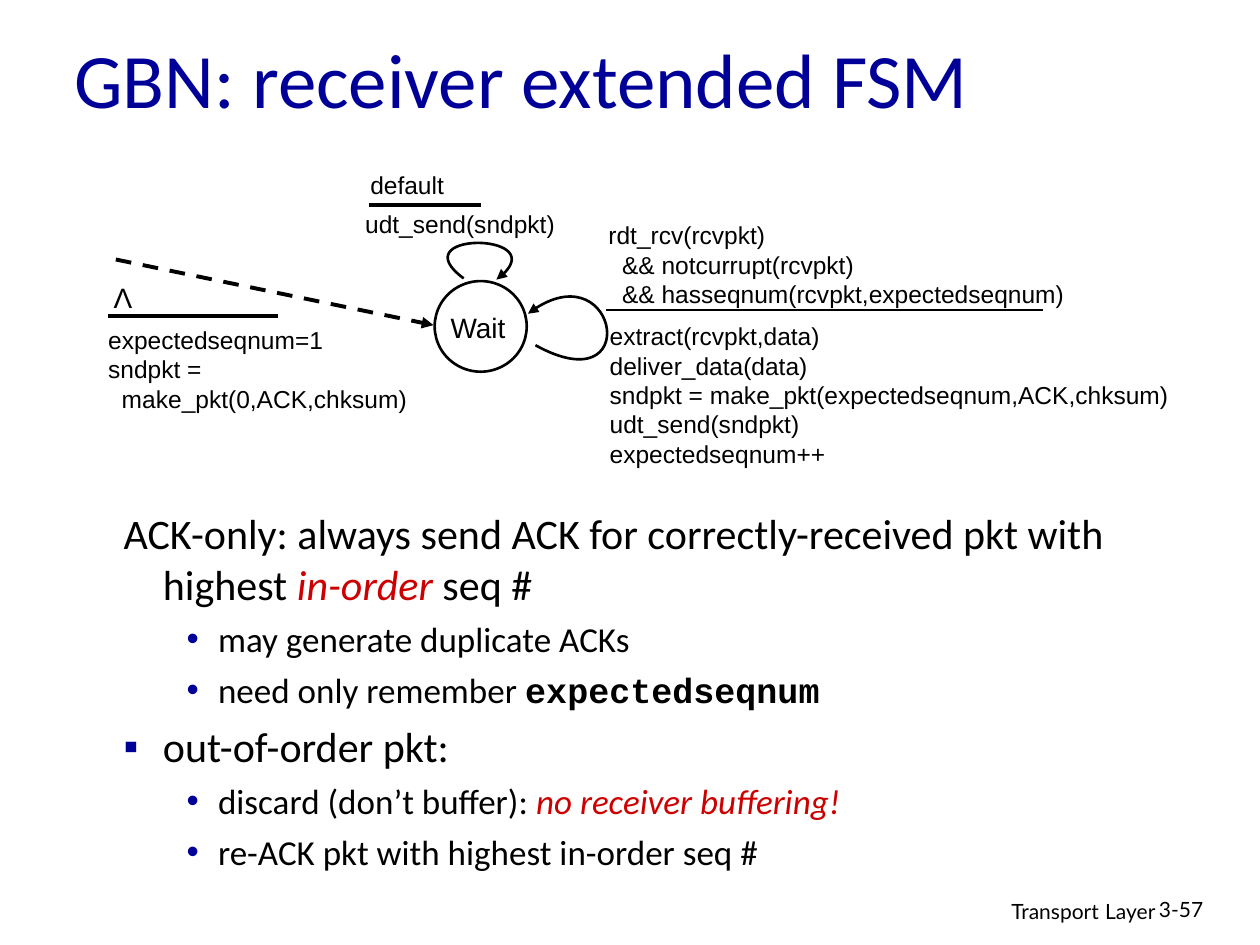
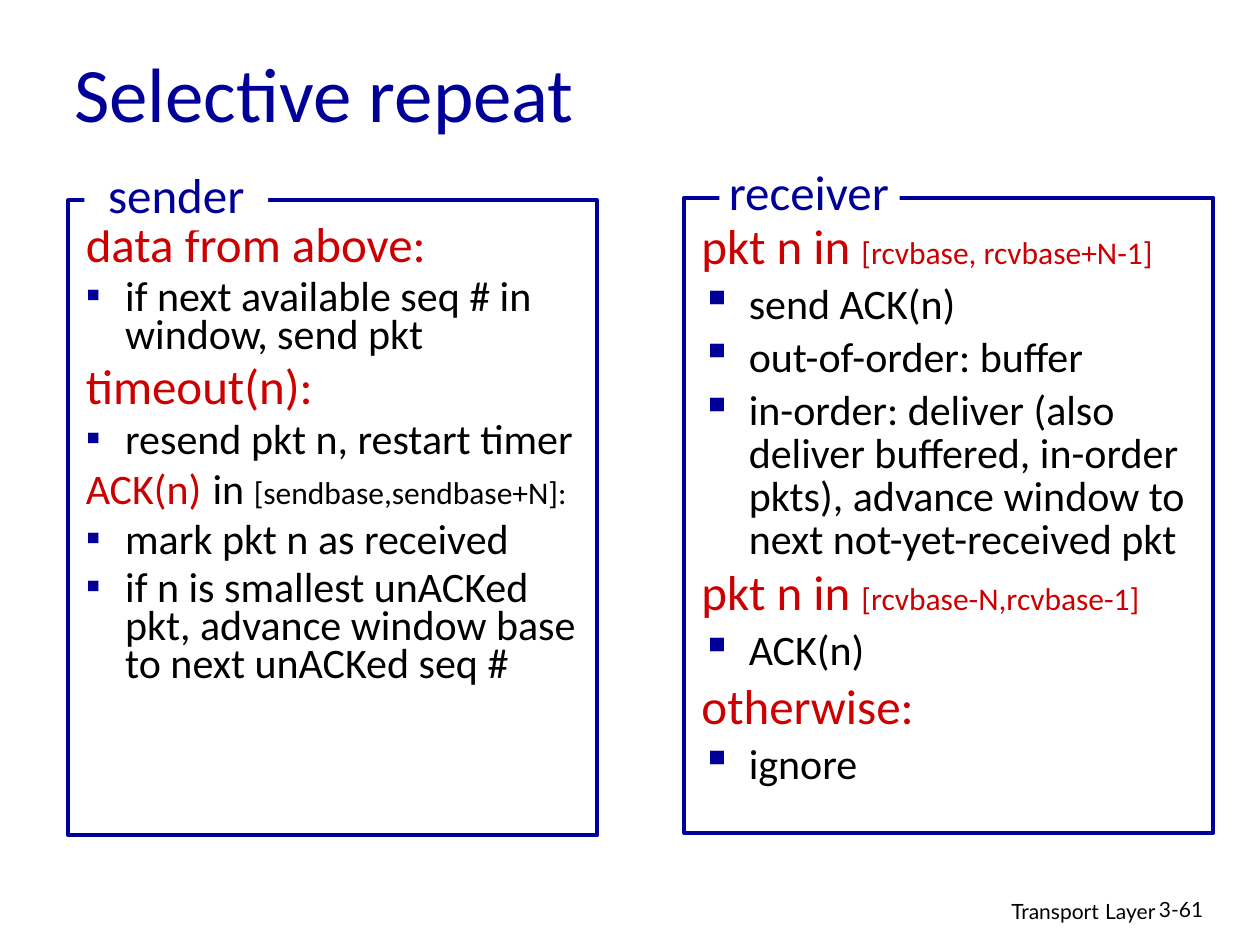
"""Build two lecture slides on Go-Back-N and selective repeat receivers."""
from dataclasses import dataclass
from typing import Optional, Union

from lxml import etree
from pptx import Presentation
from pptx.dml.color import RGBColor
from pptx.enum.dml import MSO_LINE
from pptx.enum.shapes import MSO_CONNECTOR, MSO_SHAPE
from pptx.enum.text import MSO_ANCHOR, MSO_AUTO_SIZE, PP_ALIGN
from pptx.oxml.ns import qn
from pptx.util import Pt

STRAIGHT = MSO_CONNECTOR.STRAIGHT
OVAL, RECTANGLE = MSO_SHAPE.OVAL, MSO_SHAPE.RECTANGLE
DASH = MSO_LINE.DASH
LEFT, CENTER, RIGHT = PP_ALIGN.LEFT, PP_ALIGN.CENTER, PP_ALIGN.RIGHT
TOP, MIDDLE = MSO_ANCHOR.TOP, MSO_ANCHOR.MIDDLE
NO_AUTOFIT = MSO_AUTO_SIZE.NONE

NAVY, RED, BLACK, WHITE = "000099", "CC0000", "000000", "FFFFFF"
HEADING, DIAGRAM, FOOTER, CODE = "Calibri", "Arial", "Lato", "Courier New"
DOT, SQUARE = "•", "▪"

Box = tuple[float, float, float, float]
Point = tuple[float, float]


@dataclass(frozen=True)
class Run:
    text: str
    size: Optional[float] = None
    color: Optional[str] = None
    font: Optional[str] = None
    bold: Optional[bool] = None
    italic: Optional[bool] = None


@dataclass(frozen=True)
class Paragraph:
    runs: tuple[Union[Run, str], ...]
    size: float
    color: str = BLACK
    font: str = HEADING
    align: PP_ALIGN = LEFT
    bullet: str = ""
    level: int = 0
    margin: float = 0
    hanging: float = 0
    before: float = 0
    spacing: float = 1


@dataclass(frozen=True)
class Label:
    box: Box
    lines: tuple[str, ...]
    size: float = 14
    align: PP_ALIGN = LEFT
    wrap: bool = True


@dataclass(frozen=True)
class Line:
    start: Point
    end: Point
    width: float = 2.25
    dashed: bool = False
    arrow: bool = False


@dataclass(frozen=True)
class Panel:
    frame: Box
    mask: Box
    caption_box: Box
    caption: str


def rgb(color: str) -> RGBColor:
    return RGBColor.from_string(color)


def points(values) -> list:
    return [Pt(value) for value in values]


def set_font(font, size, color, name, bold=None, italic=None) -> None:
    if size is not None:
        font.size = Pt(size)
    if color is not None:
        font.color.rgb = rgb(color)
    if name is not None:
        font.name = name
    if bold is not None:
        font.bold = bold
    if italic is not None:
        font.italic = italic


def set_bullet(properties, bullet: str) -> None:
    if not bullet:
        etree.SubElement(properties, qn("a:buNone"))
        return
    color = etree.SubElement(properties, qn("a:buClr"))
    etree.SubElement(color, qn("a:srgbClr"), val=NAVY)
    etree.SubElement(properties, qn("a:buChar"), char=bullet)


def write(frame, paragraphs, anchor=TOP, wrap: bool = True) -> None:
    frame.word_wrap = wrap
    frame.auto_size = NO_AUTOFIT
    frame.vertical_anchor = anchor
    for index, item in enumerate(paragraphs):
        paragraph = frame.add_paragraph() if index else frame.paragraphs[0]
        paragraph.level = item.level
        properties = paragraph._p.get_or_add_pPr()
        properties.set("marL", str(Pt(item.margin)))
        properties.set("indent", str(Pt(-item.hanging)))
        set_bullet(properties, item.bullet)
        paragraph.alignment = item.align
        paragraph.space_before = Pt(item.before if index else 0)
        paragraph.line_spacing = item.spacing
        set_font(paragraph.font, item.size, item.color, item.font)
        for part in item.runs:
            part = Run(part) if isinstance(part, str) else part
            run = paragraph.add_run()
            run.text = part.text
            set_font(run.font, part.size, part.color, part.font, part.bold, part.italic)


def add_text(slide, box: Box, paragraphs, wrap: bool = True) -> None:
    write(slide.shapes.add_textbox(*points(box)).text_frame, paragraphs, wrap=wrap)


def fill_placeholder(placeholder, box: Box, paragraphs, anchor=TOP) -> None:
    placeholder.left, placeholder.top, placeholder.width, placeholder.height = points(box)
    write(placeholder.text_frame, paragraphs, anchor)


def add_label(slide, label: Label) -> None:
    add_text(slide, label.box,
             [Paragraph((line,), label.size, font=DIAGRAM, align=label.align)
              for line in label.lines], label.wrap)


def style_line(line, color: str, width: float, dashed=False, arrow=False) -> None:
    line.color.rgb = rgb(color)
    line.width = Pt(width)
    if dashed:
        line.dash_style = DASH
    if arrow:
        etree.SubElement(line._get_or_add_ln(), qn("a:tailEnd"), type="triangle")


def add_line(slide, item: Line) -> None:
    connector = slide.shapes.add_connector(STRAIGHT, *points(item.start + item.end))
    style_line(connector.line, BLACK, item.width, item.dashed, item.arrow)
    etree.SubElement(connector._element.spPr, qn("a:effectLst"))


def add_loop(slide, start: Point, *curve: Point) -> None:
    builder = slide.shapes.build_freeform(*points(start))
    builder.add_line_segments([points(point) for point in curve], close=False)
    shape = builder.convert_to_shape()
    outline = next(shape._element.iter(qn("a:path")))
    bezier = etree.Element(qn("a:cubicBezTo"))
    for segment in outline.findall(qn("a:lnTo")):
        bezier.append(segment[0])
        outline.remove(segment)
    outline.append(bezier)
    shape.shadow.inherit = False
    shape.fill.background()
    style_line(shape.line, BLACK, 1.5, arrow=True)


def add_shape(slide, kind, box: Box, fill=None, line=None, width: float = 1) -> None:
    shape = slide.shapes.add_shape(kind, *points(box))
    shape.shadow.inherit = False
    if fill:
        shape.fill.solid()
        shape.fill.fore_color.rgb = rgb(fill)
    else:
        shape.fill.background()
    if line:
        style_line(shape.line, line, width)
    else:
        shape.line.fill.background()


def add_panel(slide, panel: Panel) -> None:
    add_shape(slide, RECTANGLE, panel.frame, line=NAVY, width=2.25)
    add_shape(slide, RECTANGLE, panel.mask, fill=WHITE)
    add_text(slide, panel.caption_box,
             [Paragraph((panel.caption,), 28, NAVY, align=CENTER)], wrap=False)


def new_slide(presentation, title: str, title_box: Box, number: str):
    slide = presentation.slides.add_slide(presentation.slide_layouts[1])
    fill_placeholder(slide.shapes.title, title_box, [Paragraph((title,), 44, NAVY)], MIDDLE)
    add_text(slide, (439.2, 507.6, 228.2, 22.3),
             [Paragraph(("Transport", Run(" ", 14), "Layer"), 12, font=FOOTER, align=RIGHT)])
    add_text(slide, (655.2, 509, 53.3, 21.6), [Paragraph((number,), 12, font=FOOTER)])
    return slide


def build_fsm_slide(presentation) -> None:
    slide = new_slide(presentation, "GBN: receiver extended FSM",
                      (35.3, 16.6, 612, 55.4), "3-57")

    def main(*runs, bullet="") -> Paragraph:
        return Paragraph(runs, 24, bullet=bullet, margin=22.5, hanging=22.5, before=6)

    def sub(*runs) -> Paragraph:
        return Paragraph(runs, 20, bullet=DOT, level=1, margin=54, hanging=18, before=5)

    fill_placeholder(slide.placeholders[1], (63.4, 286.6, 641.5, 224.6), [
        main("ACK-only: always send ACK for correctly-received pkt with highest ",
             Run("in-order", color=RED, italic=True), " seq #"),
        sub("may generate duplicate ACKs"),
        sub("need only remember ", Run("expectedseqnum", font=CODE, bold=True)),
        main("out-of-order pkt:", bullet=SQUARE),
        sub("discard (don’t buffer): ",
            Run("no receiver buffering!", color=RED, italic=True)),
        sub("re-ACK pkt with highest in-order seq #"),
    ])
    add_shape(slide, OVAL, (248.4, 160.6, 52.6, 51.8), WHITE, BLACK, 1.5)
    for line in (
        Line((66.2, 148.3), (247.7, 185.8), dashed=True, arrow=True),
        Line((211, 117.4), (275, 117.4)),
        Line((346.3, 177.1), (596.2, 177.1), 1.5),
        Line((61.9, 180.7), (159.1, 180.7)),
    ):
        add_line(slide, line)
    add_loop(slide, (306, 197.3), (367.2, 231.1), (352.8, 140.4), (301.7, 179.3))
    add_loop(slide, (265, 159.1), (229, 132.5), (320.4, 132.5), (283.7, 159.8))
    for label in (
        Label((241.9, 174.2, 62.6, 18.7), ("Wait",), 16, CENTER),
        Label((201.6, 115.9, 127.4, 24.5), ("udt_send(sndpkt)",)),
        Label((204.5, 93.6, 56.9, 19.4), ("default",)),
        Label((340.6, 122.4, 280.8, 44.6),
              ("rdt_rcv(rcvpkt)", "  && notcurrupt(rcvpkt)",
               "  && hasseqnum(rcvpkt,expectedseqnum)")),
        Label((341.3, 180, 339.8, 67.7),
              ("extract(rcvpkt,data)", "deliver_data(data)",
               "sndpkt = make_pkt(expectedseqnum,ACK,chksum)",
               "udt_send(sndpkt)", "expectedseqnum++")),
        Label((54.7, 182.2, 286.6, 77),
              ("expectedseqnum=1", "sndpkt =", "  make_pkt(0,ACK,chksum)")),
        Label((57.6, 157, 25.2, 26.6), ("Λ",), 16, CENTER, False),
    ):
        add_label(slide, label)


def build_selective_repeat_slide(presentation) -> None:
    slide = new_slide(presentation, "Selective repeat", (35.3, 19.4, 612, 66.2), "3-61")

    def event(*runs, margin, spacing, before, size=28) -> Paragraph:
        return Paragraph(runs, size, RED, margin=margin, hanging=margin,
                         before=before, spacing=spacing)

    def action(text, margin, spacing) -> Paragraph:
        return Paragraph((text,), 24, bullet=SQUARE, margin=margin, hanging=margin,
                         before=6, spacing=spacing)

    sender = {"margin": 22.5, "spacing": 0.75}
    receiver = {"margin": 27, "spacing": 0.85}
    fill_placeholder(slide.placeholders[1], (41.8, 126, 300.2, 365.8), [
        event("data from above:", before=7, **sender),
        action("if next available seq # in window, send pkt", **sender),
        event("timeout(n):", before=7, **sender),
        action("resend pkt n, restart timer", **sender),
        event("ACK(n)", Run(" ", 28), Run("in ", color=BLACK),
              Run("[sendbase,sendbase+N]:", 18, BLACK), before=4.5, size=24, **sender),
        action("mark pkt n as received", **sender),
        action("if n is smallest unACKed pkt, advance window base to next unACKed seq #",
               **sender),
    ])
    add_panel(slide, Panel((38.9, 114.5, 302.4, 362.9), (48.2, 90.7, 105.1, 41),
                           (48.2, 90.7, 105.1, 41), "sender"))
    add_text(slide, (393.8, 124.6, 300.2, 365.8), [
        event("pkt n in ", Run("[rcvbase, rcvbase+N-1]", 18), before=4.5, **receiver),
        action("send ACK(n)", **receiver),
        action("out-of-order: buffer", **receiver),
        action("in-order: deliver (also deliver buffered, in-order pkts), "
               "advance window to next not-yet-received pkt", **receiver),
        event("pkt n in ", Run("[rcvbase-N,rcvbase-1]", 18), before=4.5, **receiver),
        action("ACK(n)", **receiver),
        event("otherwise:", before=6, **receiver),
        action("ignore", **receiver),
    ])
    add_panel(slide, Panel((391, 113, 302.4, 362.9), (411.1, 102.2, 103, 22.3),
                           (402.5, 88.6, 119.5, 41), "receiver"))


def main() -> None:
    presentation = Presentation()
    presentation.slide_width, presentation.slide_height = Pt(720), Pt(540)
    build_fsm_slide(presentation)
    build_selective_repeat_slide(presentation)
    presentation.save("out.pptx")


if __name__ == "__main__":
    main()
